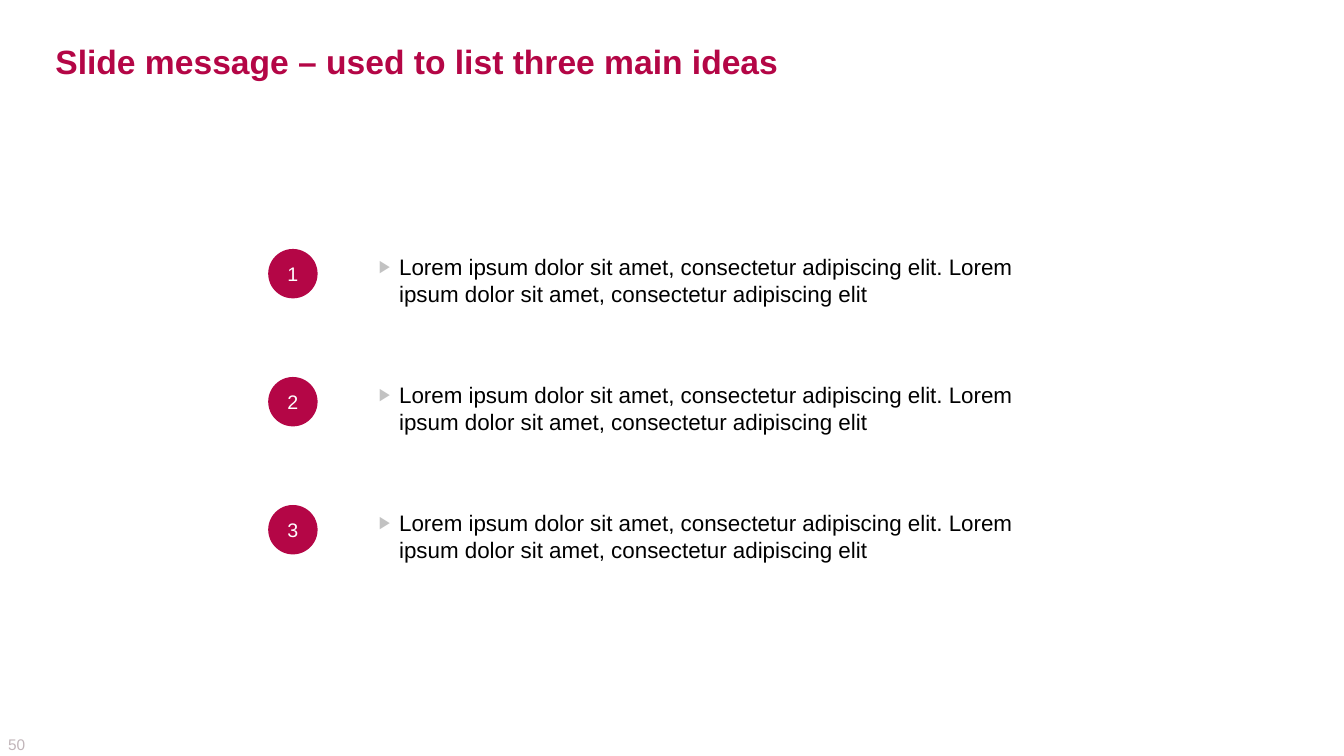
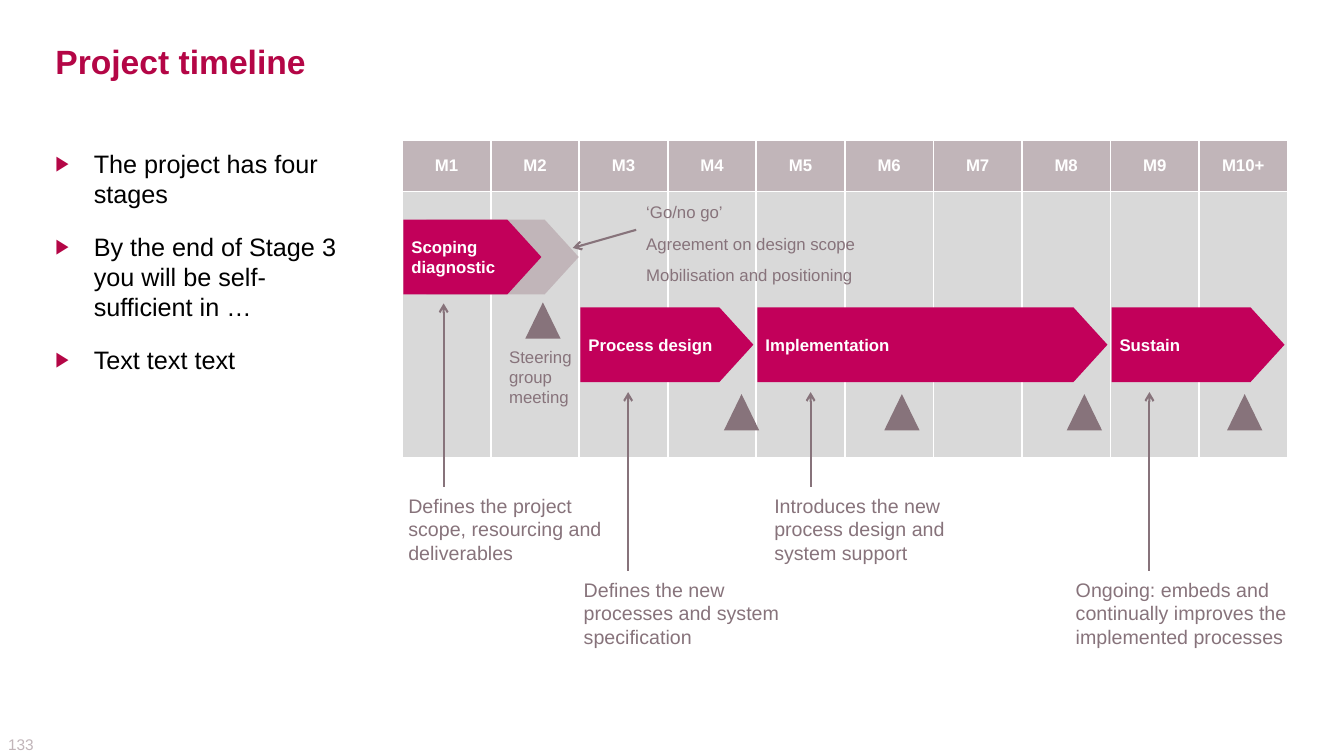
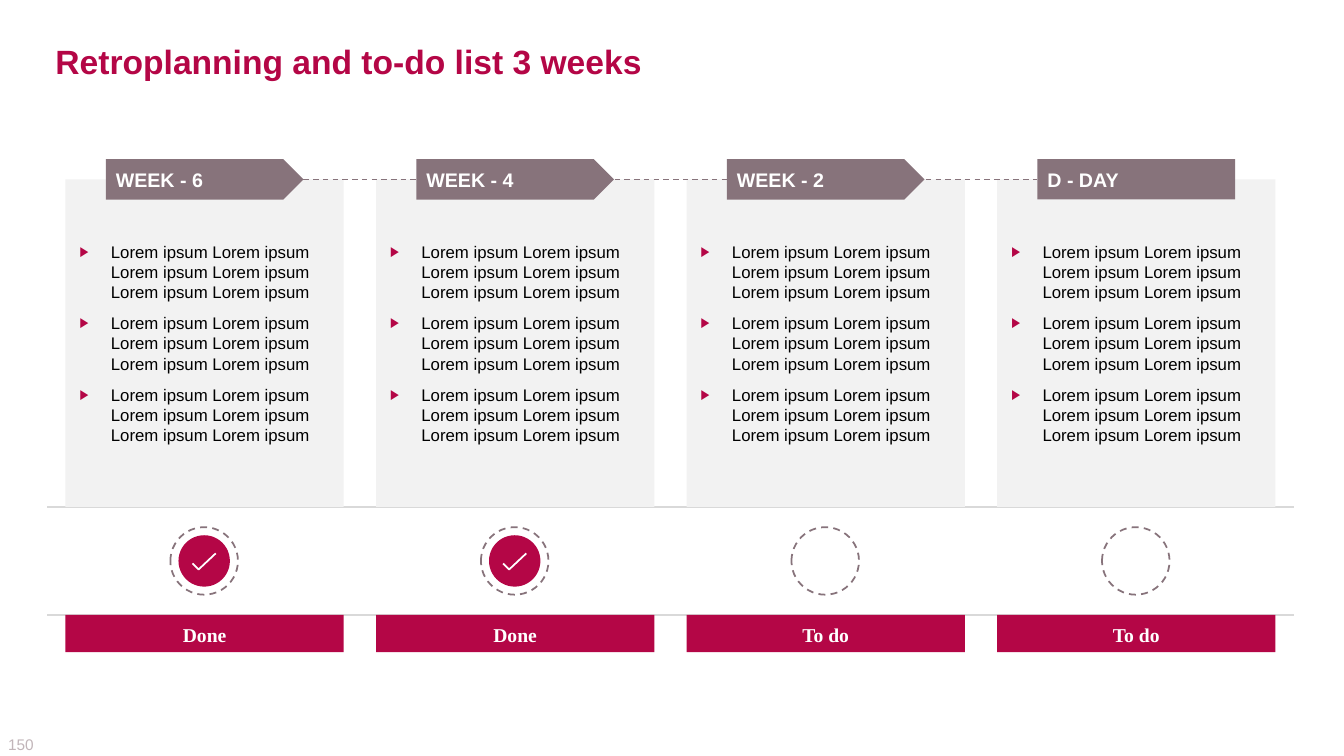
from lxml.etree import SubElement
from pptx import Presentation
from pptx.dml.color import RGBColor
from pptx.enum.dml import MSO_LINE
from pptx.enum.shapes import MSO_CONNECTOR, MSO_SHAPE
from pptx.enum.text import MSO_ANCHOR, PP_ALIGN
from pptx.oxml import parse_xml
from pptx.oxml.ns import nsdecls, qn
from pptx.util import Inches, Pt

CRIMSON, MAGENTA, MAUVE, PALE_MAUVE = "B40646", "C2005A", "87737B", "C1B5B9"
SILVER, RULE_GREY, CARD_GREY, WHITE, BLACK = "C2C2C2", "D9D9D9", "F2F2F2", "FFFFFF", "000000"
NO_INSETS = (0, 0, 0, 0)


def rgb(value):
    return RGBColor.from_string(value)


def to_emu(lengths):
    return [Inches(length) for length in lengths]


def add_bullet(paragraph, left, hanging, color, percent):
    props = paragraph._p.get_or_add_pPr()
    props.set("marL", str(Inches(left)))
    props.set("indent", str(-Inches(hanging)))
    SubElement(SubElement(props, qn("a:buClr")), qn("a:srgbClr")).set("val", color)
    SubElement(props, qn("a:buSzPct")).set("val", str(percent * 1000))
    SubElement(props, qn("a:buFont")).set("typeface", "Arial")
    SubElement(props, qn("a:buChar")).set("char", "▶")


def style_paragraph(paragraph, size, color, bold=False, font="Arial", align=PP_ALIGN.LEFT):
    paragraph.alignment = align
    paragraph.font.name = font
    paragraph.font.size = Pt(size)
    paragraph.font.bold = bold
    paragraph.font.color.rgb = rgb(color)


def write(shape, lines, size, color, insets=(0.1, 0.05, 0.1, 0.05), anchor=MSO_ANCHOR.MIDDLE,
          before=0, after=0, bullet=None, wrap=True, **style):
    frame = shape.text_frame
    frame.word_wrap = wrap
    frame.vertical_anchor = anchor
    (frame.margin_left, frame.margin_top,
     frame.margin_right, frame.margin_bottom) = to_emu(insets)
    for index, line in enumerate(lines):
        paragraph = frame.add_paragraph() if index else frame.paragraphs[0]
        paragraph.text = line
        if bullet:
            add_bullet(paragraph, *bullet)
        paragraph.space_before = Pt(before if index else 0)
        paragraph.space_after = Pt(after)
        style_paragraph(paragraph, size, color, **style)


def add_text(slide, box, lines, size, color, **options):
    label = slide.shapes.add_textbox(*to_emu(box))
    write(label, lines, size, color, **options)


def set_outline(line, color, width, dash=None):
    line.color.rgb = rgb(color)
    line.width = Pt(width)
    if dash:
        line.dash_style = dash


def add_block(slide, kind, box, fill=None, adjust=None):
    block = slide.shapes.add_shape(kind, *to_emu(box))
    block.shadow.inherit = False
    block.line.fill.background()
    if fill:
        block.fill.solid()
        block.fill.fore_color.rgb = rgb(fill)
    else:
        block.fill.background()
    if adjust is not None:
        block.adjustments[0] = adjust
    return block


def add_line(slide, start, end, color, width, dash=None, arrow=False):
    line = slide.shapes.add_connector(MSO_CONNECTOR.STRAIGHT, *to_emu(start + end))
    set_outline(line.line, color, width, dash)
    if arrow:
        SubElement(line.line._get_or_add_ln(), qn("a:tailEnd")).set("type", "arrow")
    SubElement(line._element.spPr, qn("a:effectLst"))
    return line


def add_slide(deck, title, number):
    slide = deck.slides.add_slide(deck.slide_layouts[6])
    add_text(slide, (0.08, 7.29, 0.39, 0.19), [number], 11, PALE_MAUVE, insets=NO_INSETS)
    add_text(slide, (0.47, 0.35, 12.4, 0.51), [title], 24, CRIMSON,
             insets=(0.08, 0.05, 0.08, 0.05), bold=True)
    return slide


def add_idea(slide, number, text, x, y, w, h):
    disc_size, text_left = 0.49, 1
    idea = add_block(slide, MSO_SHAPE.RECTANGLE, (x + text_left, y, w - text_left, h), WHITE)
    write(idea, [text], 16, BLACK, insets=(0.1, 0.04, 0.04, 0.04),
          anchor=MSO_ANCHOR.TOP, bullet=(0.2, 0.2, SILVER, 77))
    disc = add_block(slide, MSO_SHAPE.OVAL, (x, y, disc_size, disc_size), CRIMSON)
    write(disc, [number], 14, WHITE, align=PP_ALIGN.CENTER)


def ideas_slide(deck):
    slide = add_slide(deck, "Slide message – used to list three main ideas", "50")
    text = ("Lorem ipsum dolor sit amet, consectetur adipiscing elit. "
            "Lorem ipsum dolor sit amet, consectetur adipiscing elit")
    for index in range(3):
        add_idea(slide, str(index + 1), text, 2.66, 2.47 + 1.27 * index, 8.02, 0.72)


def paint_cell(cell, fill):
    cell.fill.solid()
    cell.fill.fore_color.rgb = rgb(fill)
    props = cell._tc.get_or_add_tcPr()
    for position, side in enumerate("LRTB"):
        props.insert(position, parse_xml(
            f'<a:ln{side} {nsdecls("a")} w="{Pt(1.5)}"><a:solidFill>'
            f'<a:srgbClr val="{WHITE}"/></a:solidFill></a:ln{side}>'))


def add_months(slide, x, y, w, h):
    months = [f"M{month}" for month in range(1, 10)] + ["M10+"]
    header = 0.51
    grid = slide.shapes.add_table(2, len(months), *to_emu((x, y, w, h))).table
    for row, height in zip(grid.rows, (header, h - header)):
        row.height = Inches(height)
    for index, month in enumerate(months):
        grid.columns[index].width = Inches(w / len(months))
        heading, body = grid.cell(0, index), grid.cell(1, index)
        paint_cell(heading, PALE_MAUVE)
        paint_cell(body, RULE_GREY)
        heading.text = month
        heading.vertical_anchor = MSO_ANCHOR.MIDDLE
        style_paragraph(heading.text_frame.paragraphs[0], 12, WHITE, bold=True,
                        align=PP_ALIGN.CENTER)


def add_stage(slide, name, box):
    stage = add_block(slide, MSO_SHAPE.PENTAGON, box, MAGENTA, 0.455)
    write(stage, [name], 12, WHITE, insets=(0.08,) * 4, bold=True)


def add_callout(slide, text, x, y, arrow_x, tip_y):
    callout = add_block(slide, MSO_SHAPE.RECTANGLE, (x, y, 2.24, 0.81), WHITE)
    write(callout, [text], 14, MAUVE, insets=(0.06, 0.05, 0.06, 0.05), anchor=MSO_ANCHOR.TOP)
    add_line(slide, (arrow_x, y - 0.02), (arrow_x, tip_y), MAUVE, 1.5, arrow=True)


def add_timeline(slide, x, y, w, h):
    month = w / 10
    stage_height, first_stage, later_stages = 0.74, y + 0.79, y + 1.66
    upper_callouts, lower_callouts = y + 3.46, y + 4.29
    early_tip, late_tip = y + 1.62, y + 2.5

    add_months(slide, x, y, w, h)
    callouts = [
        ("Defines the project scope, resourcing and deliverables", 0, upper_callouts, 0.41, early_tip),
        ("Defines the new processes and system specification", 1.74, lower_callouts, 2.24, late_tip),
        ("Introduces the new process design and system support", 3.63, upper_callouts, 4.05, late_tip),
        ("Ongoing: embeds and continually improves the implemented processes",
         6.62, lower_callouts, 7.41, late_tip),
    ]
    for text, left, top, arrow_left, tip in callouts:
        add_callout(slide, text, x + left, top, x + arrow_left, tip)

    add_text(slide, (x + 1.06, y + 2.04, 0.67, 0.61), ["Steering group meeting"], 12, MAUVE,
             insets=NO_INSETS)
    meetings = [(1.22, 1.61)] + [(left, 2.52) for left in (3.19, 4.78, 6.59, 8.18)]
    for left, top in meetings:
        add_block(slide, MSO_SHAPE.ISOSCELES_TRIANGLE, (x + left, y + top, 0.35, 0.36), MAUVE)

    for name, start, length in (("Process design", 2, 2), ("Implementation", 4, 4), ("Sustain", 8, 2)):
        add_stage(slide, name, (x + start * month + 0.01, later_stages,
                                length * month - 0.04, stage_height))
    add_block(slide, MSO_SHAPE.PENTAGON, (x + 0.24, first_stage, 1.51, stage_height),
              PALE_MAUVE, 0.455)
    add_stage(slide, "Scoping diagnostic", (x + 0.01, first_stage, 1.37, stage_height))

    add_line(slide, (x + 2.32, y + 0.89), (x + 1.69, y + 1.07), MAUVE, 1.5, arrow=True)
    decisions = ["‘Go/no go’", "Agreement on design scope", "Mobilisation and positioning"]
    add_text(slide, (x + 2.42, y + 0.61, 2.13, 0.83), decisions, 12, MAUVE,
             insets=NO_INSETS, before=4, after=4)


def timeline_slide(deck):
    slide = add_slide(deck, "Project timeline", "133")
    points = ["The project has four stages",
              "By the end of Stage 3 you will be self-sufficient in …",
              "Text text text"]
    add_text(slide, (0.47, 1.39, 3.18, 2.43), points, 18, BLACK, insets=(0.08,) * 4,
             anchor=MSO_ANCHOR.TOP, before=4, after=12, bullet=(0.38, 0.38, CRIMSON, 82))
    add_timeline(slide, 3.99, 1.39, 8.78, 3.15)


def add_tick(slide, x, y):
    start, *strokes = [to_emu((x + left, y + top))
                       for left, top in ((0, 0.1), (0.06, 0.16), (0.23, 0))]
    pen = slide.shapes.build_freeform(*start)
    pen.add_line_segments(strokes, close=False)
    tick = pen.convert_to_shape()
    tick.shadow.inherit = False
    tick.fill.background()
    set_outline(tick.line, WHITE, 1.25)


def add_status(slide, done, x, y, size):
    ring = add_block(slide, MSO_SHAPE.OVAL, (x, y, size, size))
    set_outline(ring.line, MAUVE, 1.25, MSO_LINE.DASH)
    if done:
        margin = 0.08
        disc_size = size - 2 * margin
        add_block(slide, MSO_SHAPE.OVAL, (x + margin, y + margin, disc_size, disc_size), CRIMSON)
        add_tick(slide, x + 0.22, y + 0.26)


def add_week(slide, done, x, y, w):
    card = add_block(slide, MSO_SHAPE.RECTANGLE, (x, y + 0.2, w, 3.25), CARD_GREY)
    write(card, [" ".join(["Lorem ipsum"] * 6)] * 3, 12, BLACK, insets=(0, 0.05, 0, 0.05),
          before=4, after=4, bullet=(0.45, 0.31, CRIMSON, 82))
    add_status(slide, done, x + 1.04, y + 3.65, 0.67)
    badge = add_block(slide, MSO_SHAPE.RECTANGLE, (x, y + 4.52, w, 0.37), CRIMSON)
    write(badge, ["Done" if done else "To do"], 14, WHITE, insets=(0.1, 0.08, 0.1, 0),
          anchor=MSO_ANCHOR.TOP, wrap=False, bold=True, font="Times New Roman",
          align=PP_ALIGN.CENTER)


def add_week_tag(slide, name, last, x, y):
    kind = MSO_SHAPE.RECTANGLE if last else MSO_SHAPE.PENTAGON
    tag = add_block(slide, kind, (x, y, 1.96, 0.4), MAUVE)
    write(tag, [name], 14, WHITE, bold=True)
    return tag


def add_retroplan(slide, weeks, x, y, w):
    card_width = 2.76
    last = len(weeks) - 1
    pitch = (w - card_width) / last
    for top in (3.45, 4.52):
        add_line(slide, (x - 0.18, y + top), (x + w + 0.18, y + top), RULE_GREY, 1)
    for index, (name, done) in enumerate(weeks):
        add_week(slide, done, x + pitch * index, y, card_width)
    link = add_line(slide, (x, y + 0.2), (x + w, y + 0.2), MAUVE, 1, MSO_LINE.DASH)
    tags = [add_week_tag(slide, name, index == last, x + pitch * index + 0.4, y)
            for index, (name, done) in enumerate(weeks)]
    link.begin_connect(tags[0], 3)
    link.end_connect(tags[-1], 1)


def retroplanning_slide(deck):
    slide = add_slide(deck, "Retroplanning and to-do list 3 weeks", "150")
    weeks = [("WEEK - 6", True), ("WEEK - 4", True), ("WEEK - 2", False), ("D - DAY", False)]
    add_retroplan(slide, weeks, 0.65, 1.58, 12)


def main():
    deck = Presentation()
    deck.slide_width, deck.slide_height = Inches(13.33), Inches(7.5)
    ideas_slide(deck)
    timeline_slide(deck)
    retroplanning_slide(deck)
    deck.save("out.pptx")


if __name__ == "__main__":
    main()
